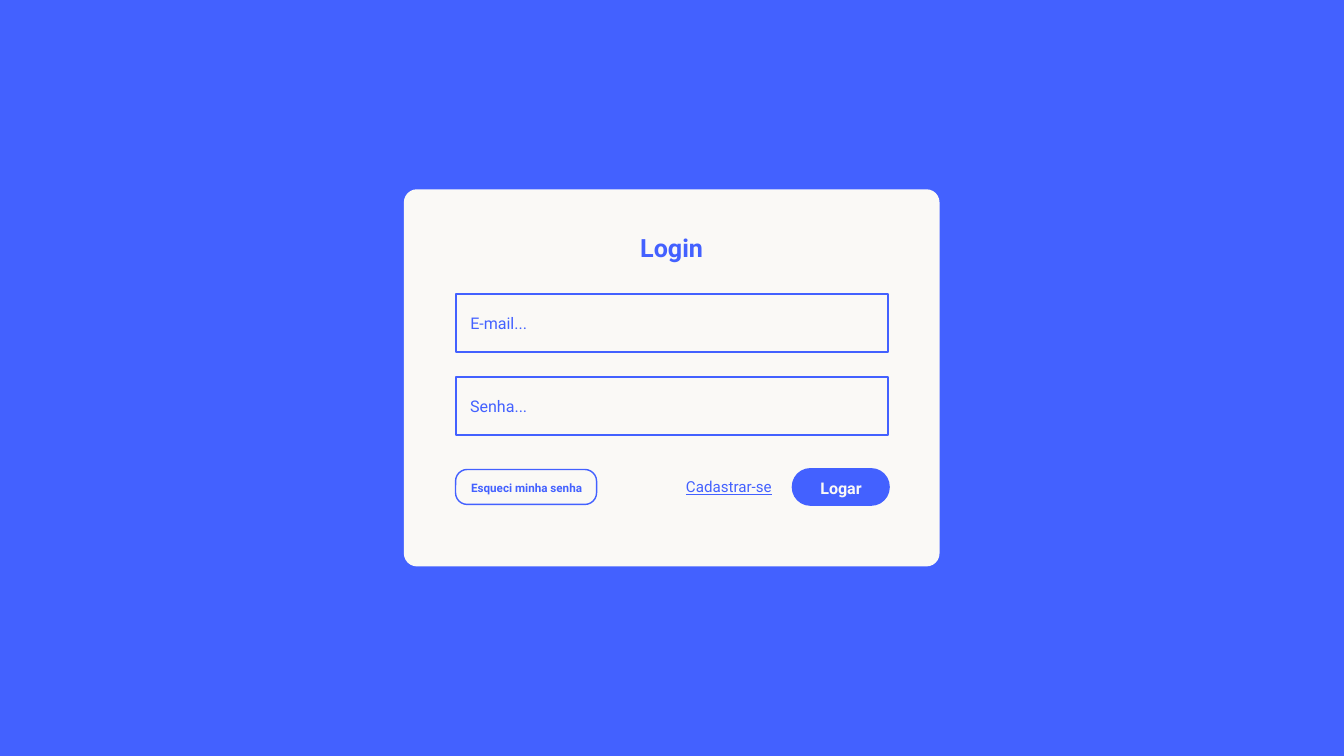
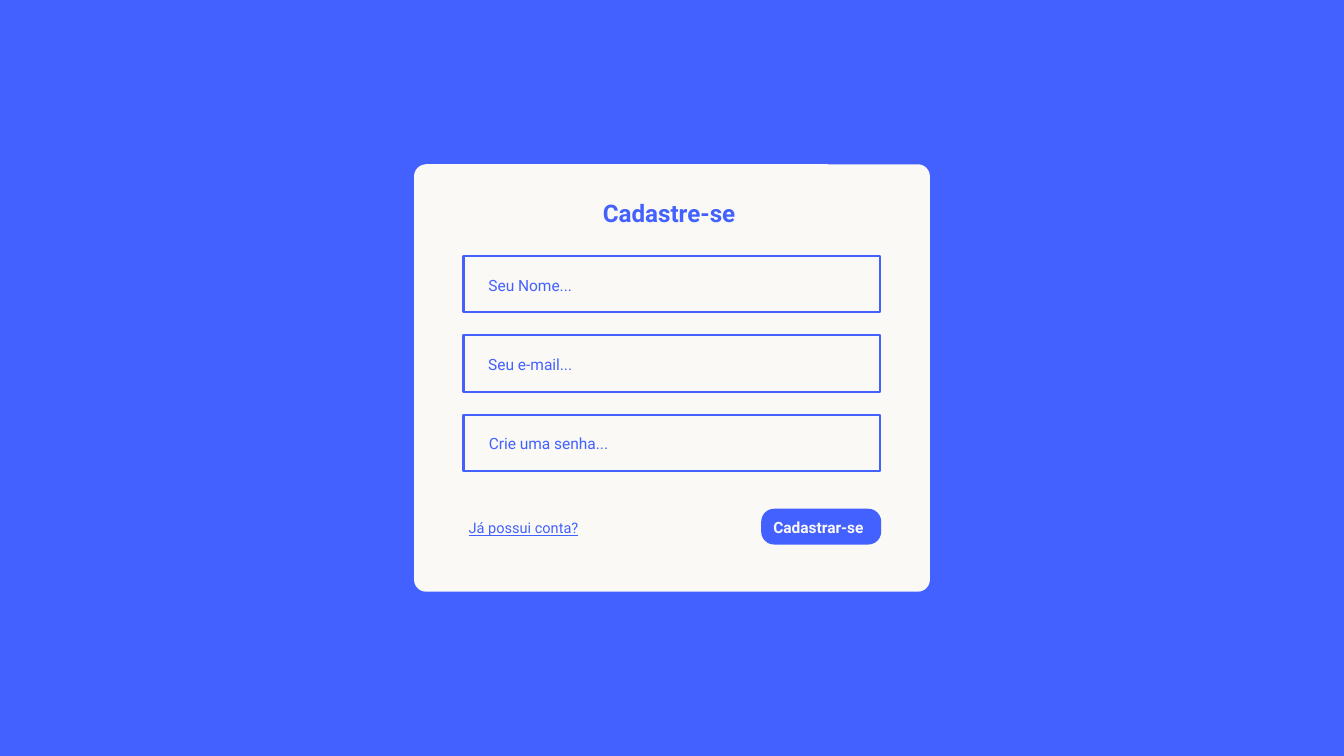
import pptx
import pptx.dml.color
import pptx.enum.shapes
import pptx.enum.text
import pptx.util

Cm = pptx.util.Cm
Pt = pptx.util.Pt
SHAPES = pptx.enum.shapes.MSO_SHAPE

COLOURS = {"blue": "4361FF", "paper": "FAF9F6"}
FONT = "Roboto"
LINE_SPACING = 1.4
TITLE_ONLY_LAYOUT = 5

FRAME_FORMAT = {
    "margin_left": 0,
    "margin_top": 0,
    "margin_right": 0,
    "margin_bottom": 0,
    "word_wrap": True,
    "auto_size": pptx.enum.text.MSO_AUTO_SIZE.SHAPE_TO_FIT_TEXT,
    "vertical_anchor": pptx.enum.text.MSO_ANCHOR.TOP,
}


def colour(name):
    return pptx.dml.color.RGBColor.from_string(COLOURS[name])


def set_attributes(target, values):
    for name, value in values.items():
        setattr(target, name, value)


class FormDeck:
    """Holds the shared style and the slide being filled; lengths are in cm."""

    def __init__(self):
        self.presentation = pptx.Presentation()
        self.presentation.slide_width = Cm(50.8)
        self.presentation.slide_height = Cm(28.58)
        background = self.presentation.slide_master.background.fill
        background.solid()
        background.fore_color.rgb = colour("blue")
        self.slide = None

    def add_slide(self):
        layout = self.presentation.slide_layouts[TITLE_ONLY_LAYOUT]
        self.slide = self.presentation.slides.add_slide(layout)

    def box(self, place, line, width, fill=None, radius=0):
        kind = SHAPES.ROUNDED_RECTANGLE if radius else SHAPES.RECTANGLE
        shape = self.slide.shapes.add_shape(kind, *map(Cm, place))
        shape.shadow.inherit = False
        if radius:
            shape.adjustments[0] = radius / min(place[2:])
        if fill:
            shape.fill.solid()
            shape.fill.fore_color.rgb = colour(fill)
        else:
            shape.fill.background()
        shape.line.color.rgb = colour(line)
        shape.line.width = Pt(width)

    def set_text(self, shape, text, size, ink, **font_format):
        set_attributes(shape.text_frame, FRAME_FORMAT)
        paragraph = shape.text_frame.paragraphs[0]
        paragraph.alignment = pptx.enum.text.PP_ALIGN.CENTER
        paragraph.line_spacing = Pt(round(size * LINE_SPACING, 1))
        run = paragraph.add_run()
        run.text = text
        set_attributes(run.font, {"name": FONT, "size": Pt(size), **font_format})
        run.font.color.rgb = colour(ink)

    def label(self, place, text, size, ink="blue", **font_format):
        textbox = self.slide.shapes.add_textbox(*map(Cm, place))
        self.set_text(textbox, text, size, ink, **font_format)

    def title(self, place, text, size):
        title = self.slide.shapes.title
        names = ("left", "top", "width", "height")
        set_attributes(title, dict(zip(names, map(Cm, place))))
        self.set_text(title, text, size, "blue", bold=True)
        # Bring the title in front of the card
        title.element.getparent().append(title.element)

    def card(self, place, radius, width):
        self.box(place, "paper", width, fill="paper", radius=radius)

    def fields(self, first, pitch, inset, hints, size):
        """Stack input fields; each hint is a text and the width of its label."""
        left, top, width, height = first
        for index, (hint, hint_width) in enumerate(hints):
            field_top = top + index * pitch
            self.box((left, field_top, width, height), "blue", 2.25)
            hint_place = (left + inset[0], field_top + inset[1], hint_width, 0.8)
            self.label(hint_place, hint, size)

    def button(self, place, radius, width, fill, text_place, text, size):
        ink = "paper" if fill == "blue" else "blue"
        self.box(place, "blue", width, fill=fill, radius=radius)
        self.label(text_place, text, size, ink, bold=True)

    def link(self, place, text, size):
        self.label(place, text, size, underline=True)


def build_login(deck):
    deck.add_slide()
    deck.card((15.32, 7.21, 20.14, 14.15), 0.44, 3)
    deck.title((24.1, 8.59, 2.57, 1.24), "Login", 26.9)

    # Input fields
    hints = [("E-mail...", 2.24), ("Senha...", 2.24)]
    deck.fields((17.22, 11.1, 16.36, 2.2), 3.15, (0.51, 0.63), hints, 17.2)

    # Actions
    deck.button((17.22, 17.75, 5.33, 1.32), 0.44, 1.5, "paper",
                (17.58, 18.08, 4.65, 0.56), "Esqueci minha senha", 12.5)
    deck.link((25.81, 17.93, 3.48, 0.74), "Cadastrar-se", 16.2)
    deck.button((29.98, 17.75, 3.6, 1.32), 0.65, 3, "blue",
                (30.94, 17.96, 1.7, 0.81), "Logar", 17.2)


def build_sign_up(deck):
    deck.add_slide()
    deck.card((15.69, 6.25, 19.42, 16.08), 0.42, 2.25)
    deck.title((22.61, 7.32, 5.36, 1.19), "Cadastre-se", 25.9)

    # Input fields
    hints = [("Seu Nome...", 3.4), ("Seu e-mail...", 3.4), ("Crie uma senha...", 4.78)]
    deck.fields((17.52, 9.68, 15.76, 2.13), 3, (0.82, 0.63), hints, 16.6)

    # Actions
    deck.link((17.53, 19.51, 4.52, 0.71), "Já possui conta?", 15.6)
    deck.button((28.8, 19.26, 4.48, 1.3), 0.46, 1.5, "blue",
                (29.03, 19.48, 3.81, 0.79), "Cadastrar-se", 16.6)


def main():
    deck = FormDeck()
    build_login(deck)
    build_sign_up(deck)
    deck.presentation.save("out.pptx")


if __name__ == "__main__":
    main()
